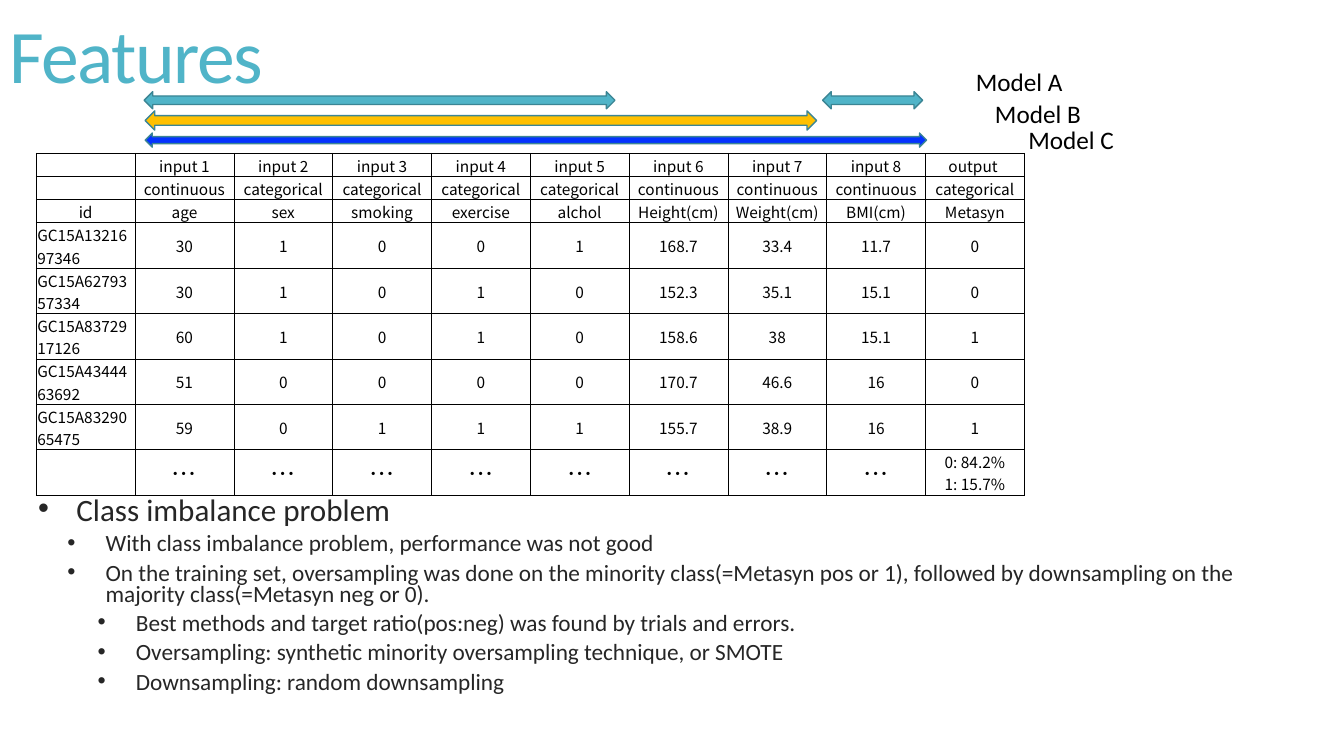
from dataclasses import dataclass

from lxml import etree
from pptx import Presentation
from pptx import util as u
from pptx.dml.color import RGBColor
from pptx.enum import shapes, text
from pptx.oxml import ns

Inches = u.Inches


@dataclass(frozen=True)
class Theme:
    teal: str = "50B4C8"
    edge: str = "3B8594"
    gold: str = "FFC000"
    blue: str = "0432FF"
    black: str = "000000"
    ink: str = "262626"
    sans: str = "Calibri"
    grid: str = "Noto Sans CJK KR"
    title: float = 54
    label: float = 18
    cell: float = 11
    dots: float = 18
    head: float = 22.2
    body: float = 16.6


T = Theme()

KINDS = {"n": "continuous", "c": "categorical"}
FIELDS = ["age", "sex", "smoking", "exercise", "alchol",
          "Height(cm)", "Weight(cm)", "BMI(cm)", "Metasyn"]
PEOPLE = [
    "GC15A1321697346 30 1 0 0 1 168.7 33.4 11.7 0",
    "GC15A6279357334 30 1 0 1 0 152.3 35.1 15.1 0",
    "GC15A8372917126 60 1 0 1 0 158.6 38 15.1 1",
    "GC15A4344463692 51 0 0 0 0 170.7 46.6 16 0",
    "GC15A8329065475 59 0 1 1 1 155.7 38.9 16 1",
]
ROWS = [
    [""] + [f"input {n}" for n in range(1, 9)] + ["output "],
    [""] + [KINDS[k] for k in "nccccnnnc"],
    ["id"] + FIELDS,
    *[line.split() for line in PEOPLE],
    [""] + ["…"] * 8 + ["0: 84.2%\n1: 15.7%"],
]
# Three one-line heading rows, then rows tall enough for two lines
HEIGHTS = [0.23] * 3 + [0.45] * 6

# Left, top, width, height and colour of each model's input range
ARROWS = [
    (1.43, 0.91, 4.67, 0.17, T.teal),
    (8.16, 0.91, 0.99, 0.17, T.teal),
    (1.44, 1.10, 6.66, 0.19, T.gold),
    (1.44, 1.32, 7.75, 0.14, T.blue),
]
LABELS = [("Model A", 9.58, 0.61), ("Model B", 9.77, 0.93),
          ("Model C", 10.1, 1.18)]

# Text indent, size and wording of each bullet
POINTS = [
    (0.66, T.head, "Class imbalance problem"),
    (0.95, T.body, "With class imbalance problem, performance was not good"),
    (0.95, T.body, "On the training set, oversampling was done on the minority "
     "class(=Metasyn pos or 1), followed by downsampling on the "
     "majority class(=Metasyn neg or 0)."),
    (1.25, T.body, "Best methods and target ratio(pos:neg) was found by "
     "trials and errors."),
    (1.25, T.body, "Oversampling: synthetic minority oversampling technique, "
     "or SMOTE"),
    (1.25, T.body, "Downsampling: random downsampling"),
]


def rgb(code):
    return RGBColor.from_string(code)


def add(node, tag, **attrs):
    return etree.SubElement(node, ns.qn(tag), attrs)


def style(para, size, color, face=T.sans):
    font = para.font
    font.size, font.name = u.Pt(size), face
    font.color.rgb = rgb(color)


def box(slide, left, top, width, height):
    frame = slide.shapes.add_textbox(
        *map(Inches, (left, top, width, height))).text_frame
    frame.word_wrap = True
    return frame


def title(slide, words):
    frame = box(slide, 0, 0, 10.96, 1.2)
    frame.vertical_anchor = text.MSO_ANCHOR.MIDDLE
    para = frame.paragraphs[0]
    para.text, para.line_spacing = words, 0.85
    style(para, T.title, T.teal)
    para.font._rPr.set("spc", "-120")


def label(slide, words, left, top):
    para = box(slide, left, top, 1.09, 0.4).paragraphs[0]
    para.text = words
    style(para, T.label, T.black)


def arrow(slide, left, top, width, height, color):
    shape = slide.shapes.add_shape(
        shapes.MSO_SHAPE.LEFT_RIGHT_ARROW,
        *map(Inches, (left, top, width, height)))
    shape.shadow.inherit = False
    shape.fill.solid()
    shape.fill.fore_color.rgb = rgb(color)
    shape.line.color.rgb = rgb(T.edge)
    shape.line.width = u.Pt(1)


def border(cell):
    props = cell._tc.get_or_add_tcPr()
    for side in ("a:lnL", "a:lnR", "a:lnT", "a:lnB"):
        line = add(props, side, w=str(u.Pt(0.5)))
        add(add(line, "a:solidFill"), "a:srgbClr", val=T.black)


def fill_cell(cell, words, align):
    border(cell)
    cell.fill.background()
    cell.margin_left = cell.margin_right = cell.margin_top = Inches(0.01)
    cell.margin_bottom = 0
    cell.vertical_anchor = text.MSO_ANCHOR.MIDDLE
    cell.text = words
    for para in cell.text_frame.paragraphs:
        para.alignment = align
        style(para, T.dots if words == "…" else T.cell, T.black, T.grid)
        add(para.font._rPr, "a:ea", typeface=T.grid)
        if not words:  # an empty cell takes its height from the end mark
            add(para._p, "a:endParaRPr", sz=str(int(T.cell * 100)))


def grid(slide, rows):
    table = slide.shapes.add_table(
        len(rows), len(rows[0]), Inches(0.36), Inches(1.52),
        Inches(9.8), Inches(sum(HEIGHTS))).table
    table.first_row = table.horz_banding = False
    for col in table.columns:
        col.width = Inches(0.98)
    for r, row in enumerate(rows):
        table.rows[r].height = Inches(HEIGHTS[r])
        for c, words in enumerate(row):
            name = c == 0 and r > 2
            align = text.PP_ALIGN.LEFT if name else text.PP_ALIGN.CENTER
            fill_cell(table.cell(r, c), words, align)


def bullets(slide, points):
    frame = box(slide, 0, 4.9, 13.23, 2.23)
    frame.margin_right = Inches(0.25)
    for n, (indent, size, words) in enumerate(points):
        para = frame.add_paragraph() if n else frame.paragraphs[0]
        para.text = words
        props = para._p.get_or_add_pPr()
        props.set("marL", str(Inches(indent)))
        props.set("indent", str(Inches(-0.38)))
        add(props, "a:buFont", typeface="Arial")
        add(props, "a:buChar", char="•")
        para.line_spacing = 0.75
        if n:
            para.space_before = u.Pt(6)
        style(para, size, T.ink)


def main():
    deck = Presentation()
    deck.slide_width, deck.slide_height = Inches(13.33), Inches(7.5)
    slide = deck.slides.add_slide(deck.slide_layouts[6])

    # Heading and feature table
    title(slide, "Features")
    grid(slide, ROWS)

    # Class imbalance notes
    bullets(slide, POINTS)

    # Inputs used by each model
    for item in ARROWS:
        arrow(slide, *item)
    for item in LABELS:
        label(slide, *item)

    deck.save("out.pptx")


if __name__ == "__main__":
    main()
